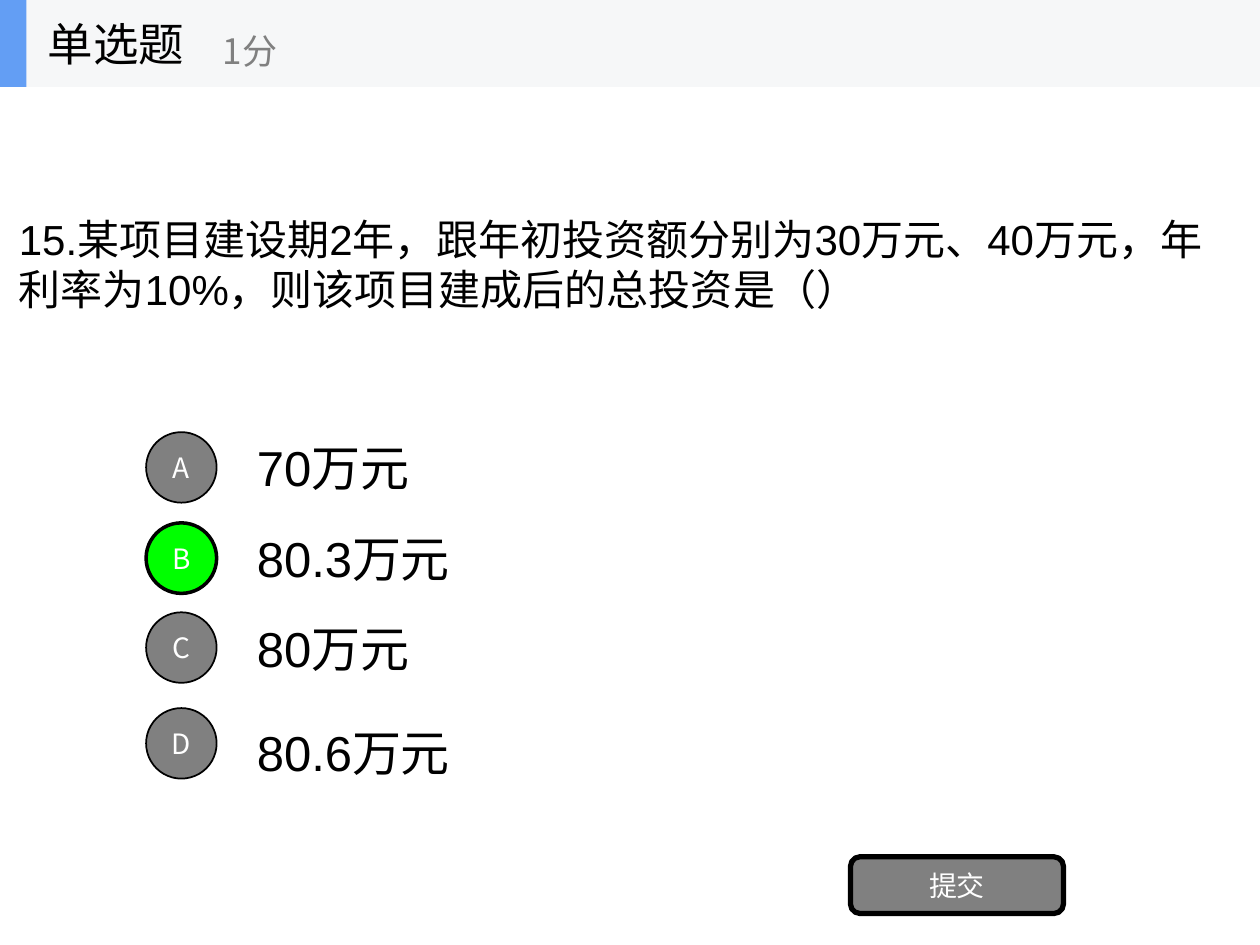
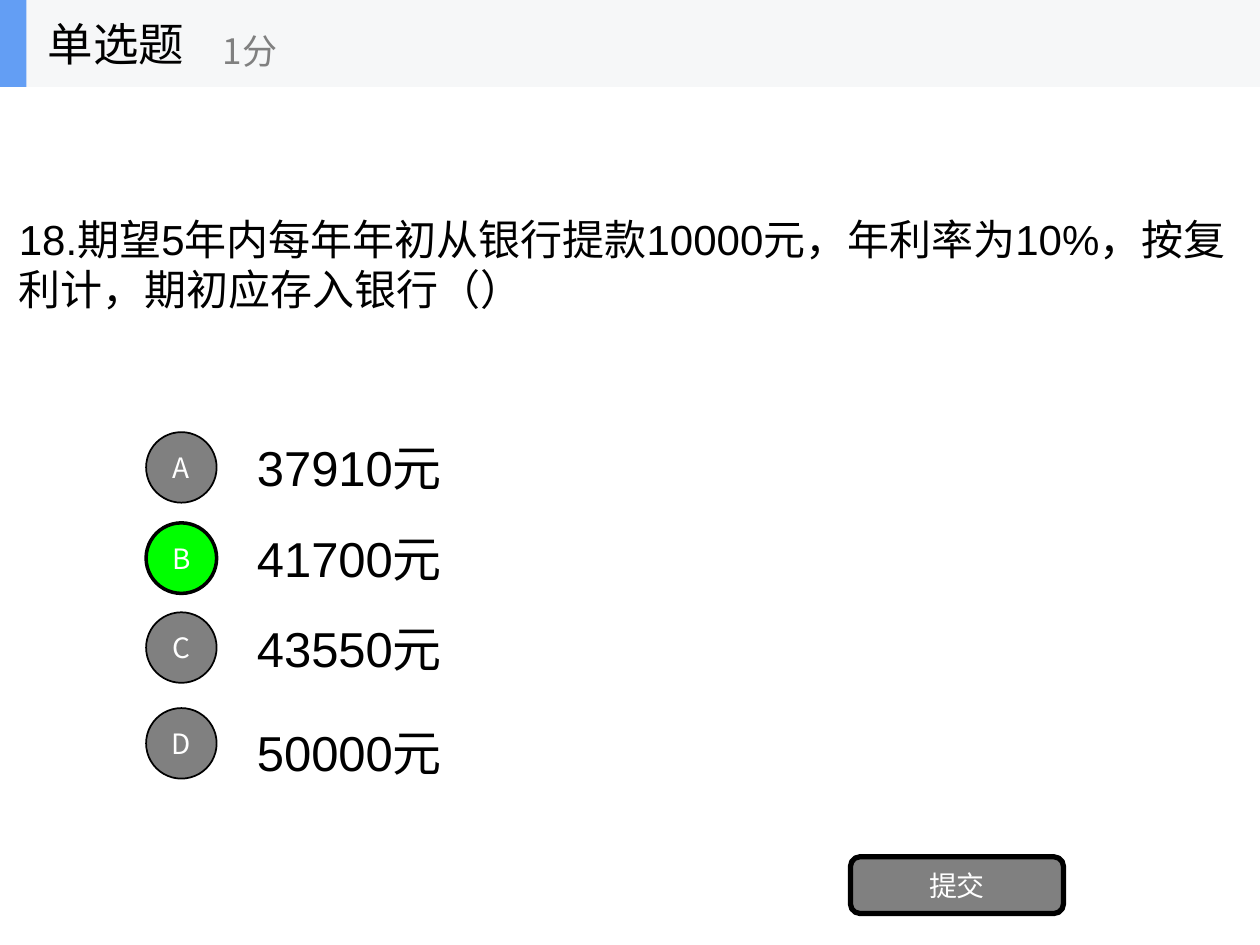
from pptx import Presentation
from pptx.dml.color import RGBColor
from pptx.enum.shapes import MSO_SHAPE
from pptx.enum.text import MSO_ANCHOR, MSO_AUTO_SIZE, PP_ALIGN
from pptx.oxml.ns import qn
from pptx.util import Emu, Pt
from lxml import etree

RECT, OVAL, ROUND = MSO_SHAPE.RECTANGLE, MSO_SHAPE.OVAL, MSO_SHAPE.ROUNDED_RECTANGLE
LEFT, CENTER = PP_ALIGN.LEFT, PP_ALIGN.CENTER
MIDDLE, NO_FIT = MSO_ANCHOR.MIDDLE, MSO_AUTO_SIZE.NONE

# Content
KIND, SCORE, SUBMIT = "单选题", "1分", "提交"
QUESTIONS = [
    {"text": "15.某项目建设期2年，跟年初投资额分别为30万元、40万元，"
             "年利率为10%，则该项目建成后的总投资是（）",
     "options": ["70万元", "80.3万元", "80万元", "80.6万元"], "answer": "B"},
    {"text": "18.期望5年内每年年初从银行提款10000元，年利率为10%，"
             "按复利计，期初应存入银行（）",
     "options": ["37910元", "41700元", "43550元", "50000元"], "answer": "B"},
]

# Shared style
SCALE = 9144  # EMU per px, 100 px to the inch
SANS, CJK = "Arial", "Noto Sans CJK SC"
BLACK, WHITE, GRAY, GREEN = "000000", "FFFFFF", "808080", "00FF00"
BAND, ACCENT = "F6F7F8", "639EF4"
STYLES = {
    "question": {"size": 24, "font": SANS, "color": BLACK, "align": LEFT},
    "option": {"size": 28, "font": SANS, "color": BLACK, "align": LEFT},
    "button": {"size": 16, "font": CJK, "color": WHITE, "align": CENTER},
    "kind": {"size": 26, "font": CJK, "color": BLACK, "align": LEFT},
    "score": {"size": 20, "font": CJK, "color": GRAY, "align": LEFT},
}

# Layout in px: left, top, width, height
QUESTION_BOX = (5, 122, 986, 175)
SUBMIT_BOX = (675, 680, 169, 45)
HEADER_H = 69
LETTER_X, LETTER_D = 116, 56
OPTION_X, OPTION_W, OPTION_H = 194, 700, 70
ROWS = [("A", 343, 336), ("B", 415, 408), ("C", 486, 479), ("D", 562, 562)]


def px(*values):
    return [Emu(v * SCALE) for v in values]


def rgb(color):
    return RGBColor.from_string(color)


def write(sp, text, style):
    f = STYLES[style]
    tf = sp.text_frame
    margin_x, margin_y = px(10, 5)
    frame = {"word_wrap": True, "auto_size": NO_FIT, "vertical_anchor": MIDDLE,
             "margin_left": margin_x, "margin_right": margin_x,
             "margin_top": margin_y, "margin_bottom": margin_y}
    for name, value in frame.items():
        setattr(tf, name, value)
    p = tf.paragraphs[0]
    p.alignment = f["align"]
    r = p.add_run()
    r.text = text
    for name, value in {"size": Pt(f["size"]), "name": f["font"]}.items():
        setattr(r.font, name, value)
    r.font.color.rgb = rgb(f["color"])
    # East Asian typeface
    ea = etree.Element(qn("a:ea"), typeface=CJK)
    r.font._element.find(qn("a:latin")).addnext(ea)


def add_text(shapes, box, text, style):
    write(shapes.add_textbox(*px(*box)), text, style)


def add_block(shapes, kind, box, fill, line=0):
    sp = shapes.add_shape(kind, *px(*box))
    sp.shadow.inherit = False
    sp.fill.solid()
    sp.fill.fore_color.rgb = rgb(fill)
    if line:
        sp.line.color.rgb = rgb(BLACK)
        sp.line.width = Pt(line)
    else:
        sp.line.fill.background()
    return sp


def add_header(slide):
    shapes = slide.shapes.add_group_shape().shapes
    add_block(shapes, RECT, (0, 0, 1000, HEADER_H), BAND)
    add_block(shapes, RECT, (0, 0, 21, HEADER_H), ACCENT)
    add_text(shapes, (28, 0, 208, HEADER_H), KIND, "kind")
    add_text(shapes, (167, 12, 250, 56), SCORE, "score")


def add_options(slide, options, answer):
    for (letter, circle_y, text_y), option in zip(ROWS, options):
        add_text(slide.shapes, (OPTION_X, text_y, OPTION_W, OPTION_H), option, "option")
        fill, line = (GREEN, 2) if letter == answer else (GRAY, 1)
        circle = add_block(slide.shapes, OVAL,
                           (LETTER_X, circle_y, LETTER_D, LETTER_D), fill, line)
        write(circle, letter, "button")


def add_question(prs, question):
    slide = prs.slides.add_slide(prs.slide_layouts[5])
    title = slide.shapes.title
    title.left, title.top, title.width, title.height = px(*QUESTION_BOX)
    write(title, question["text"], "question")
    add_options(slide, question["options"], question["answer"])
    submit = add_block(slide.shapes, ROUND, SUBMIT_BOX, GRAY, 3)
    write(submit, SUBMIT, "button")
    add_header(slide)


def main():
    prs = Presentation()
    prs.slide_width, prs.slide_height = px(1000, 750)
    for question in QUESTIONS:
        add_question(prs, question)
    prs.save("out.pptx")


if __name__ == "__main__":
    main()
